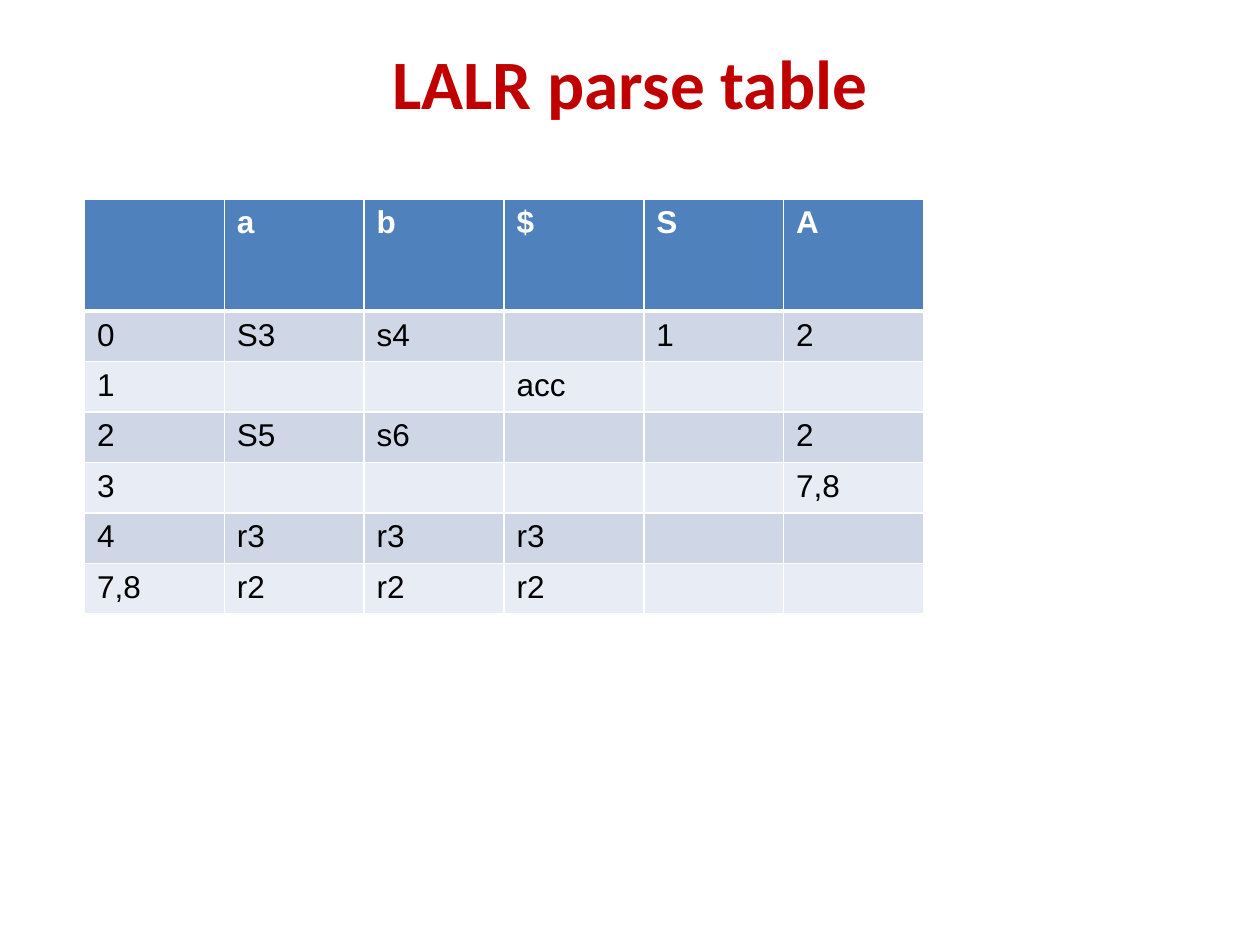
"""Build a slide with an LALR parse table."""
from lxml.etree import SubElement
from pptx import Presentation
from pptx.dml.color import RGBColor
from pptx.enum.text import MSO_ANCHOR, PP_ALIGN
from pptx.oxml.ns import qn
from pptx.util import Inches, Pt


def style(font, name, size, color, bold):
    font.name, font.size, font.bold = name, Pt(size), bold
    font.color.rgb = RGBColor.from_string(color)


def border(cell, side, width, color="FFFFFF"):
    ln = SubElement(cell._tc.get_or_add_tcPr(), qn(f"a:ln{side}"), w=str(Pt(width)))
    fill = SubElement(ln, qn("a:solidFill"))
    SubElement(fill, qn("a:srgbClr"), val=color)


ROWS = [
    ["", "a", "b", "$", "S", "A"],
    ["0", "S3", "s4", "", "1", "2"],
    ["1", "", "", "acc", "", ""],
    ["2", "S5", "s6", "", "", "2"],
    ["3", "", "", "", "", "7,8"],
    ["4", "r3", "r3", "r3", "", ""],
    ["7,8", "r2", "r2", "r2", "", ""],
]
COL_W, HEAD_H, ROW_H = Inches(1.11), Inches(0.89), Inches(0.38)

prs = Presentation()
prs.slide_width, prs.slide_height = Inches(10), Inches(7.5)
s = prs.slides.add_slide(prs.slide_layouts[6])

tf = s.shapes.add_textbox(Inches(0.5), Inches(0.3), Inches(9), Inches(0.7)).text_frame
tf.word_wrap = True
tf.vertical_anchor = MSO_ANCHOR.MIDDLE
tf.text = "LALR parse table"
p = tf.paragraphs[0]
p.alignment = PP_ALIGN.CENTER
style(p.runs[0].font, "Calibri", 39.6, "C00000", True)

n_rows, n_cols = len(ROWS), len(ROWS[0])
table = s.shapes.add_table(n_rows, n_cols, Inches(0.67), Inches(1.58),
                           COL_W * n_cols, HEAD_H + ROW_H * (n_rows - 1)).table
for col in table.columns:
    col.width = COL_W
for i, row in enumerate(ROWS):
    head = i == 0
    table.rows[i].height = HEAD_H if head else ROW_H
    fill = "4F81BD" if head else ("E8ECF4", "CFD7E7")[i % 2]
    for j, text in enumerate(row):
        cell = table.cell(i, j)
        for side, width in zip("LRTB", (1, 1, 3 if i == 1 else 1, 3 if head else 1)):
            border(cell, side, width)
        cell.fill.solid()
        cell.fill.fore_color.rgb = RGBColor.from_string(fill)
        cell.text_frame.text = text
        style(cell.text_frame.paragraphs[0].font, "Arial", 18, "FFFFFF" if head else "000000", head)
        for r in cell.text_frame.paragraphs[0].runs:
            style(r.font, "Arial", 18, "FFFFFF" if head else "000000", head)

prs.save("out.pptx")
